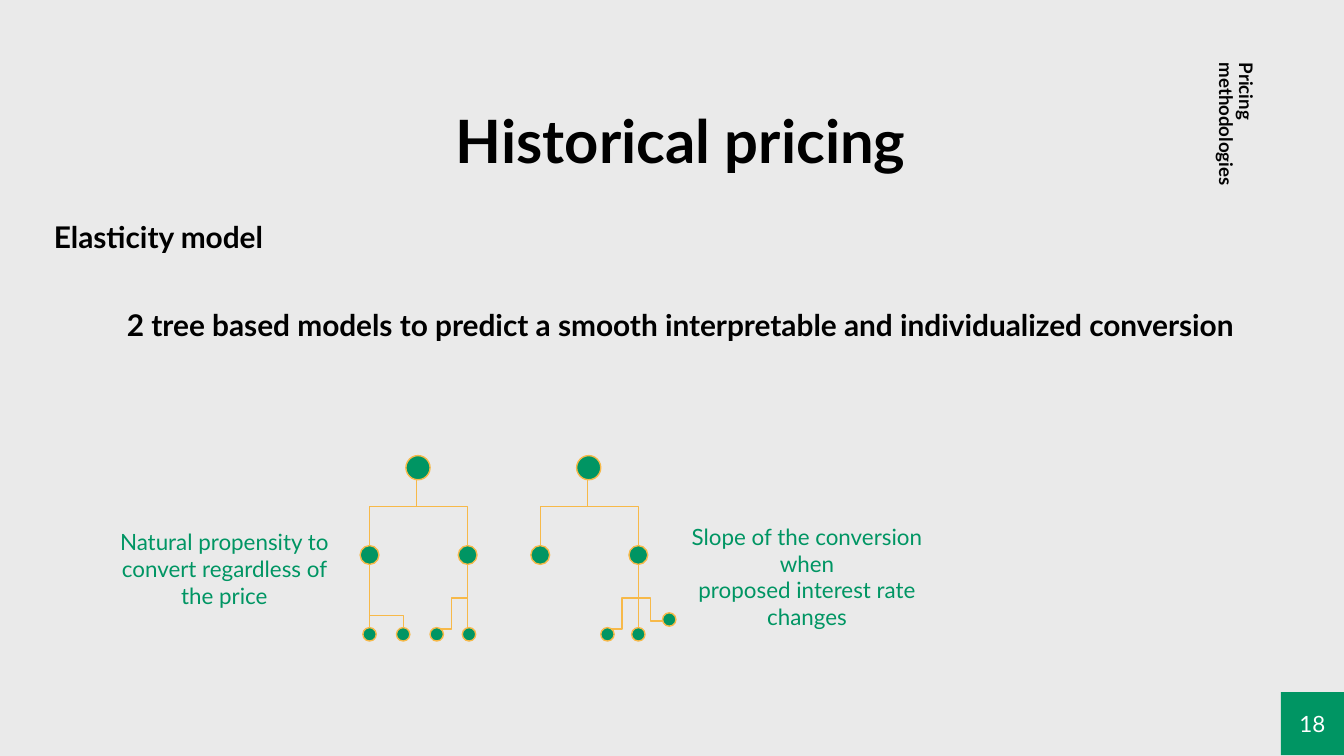
from lxml import etree
from pptx import Presentation
from pptx.dml.color import RGBColor
from pptx.enum.shapes import MSO_CONNECTOR, MSO_SHAPE
from pptx.enum.text import MSO_ANCHOR, PP_ALIGN
from pptx.oxml.ns import qn
from pptx.util import Pt

PX = 9144
ELBOW = MSO_CONNECTOR.ELBOW
OVAL, RECTANGLE = MSO_SHAPE.OVAL, MSO_SHAPE.RECTANGLE
LEFT, CENTER = PP_ALIGN.LEFT, PP_ALIGN.CENTER
TOP, MIDDLE = MSO_ANCHOR.TOP, MSO_ANCHOR.MIDDLE
COLORS = {
    "background": "EAEAEA",
    "green": "009563",
    "branch": "F7B949",
    "black": "000000",
    "side": "030303",
    "white": "FFFFFF",
}
ROOT, MIDDLE_NODE, LEAF = 18, 14, 10


def px(*values):
    return [round(value * PX) for value in values]


def color(name):
    return RGBColor.from_string(COLORS[name])


class SlideBuilder:
    font = "Lato"
    line_width = Pt(0.75)

    def __init__(self, slide):
        self.slide = slide
        self.shapes = slide.shapes
        fill = slide.background.fill
        fill.solid()
        fill.fore_color.rgb = color("background")

    def label(self, shape, lines, size, tone, bold=False, align=CENTER,
              anchor=TOP, insets=(0, 10, 0, 10), spacing=None):
        frame = shape.text_frame
        left, top, right, bottom = px(*insets)
        frame_format = {
            "word_wrap": True, "vertical_anchor": anchor,
            "margin_left": left, "margin_top": top,
            "margin_right": right, "margin_bottom": bottom,
        }
        for name, value in frame_format.items():
            setattr(frame, name, value)
        frame.text = "\n".join(lines)
        font_format = {"name": self.font, "size": Pt(size), "bold": bold}
        for paragraph in frame.paragraphs:
            paragraph.alignment = align
            paragraph.line_spacing = spacing
            for name, value in font_format.items():
                setattr(paragraph.font, name, value)
            paragraph.font.color.rgb = color(tone)

    def text(self, box, lines, size, tone, rotation=0, **style):
        shape = self.shapes.add_textbox(*px(*box))
        shape.rotation = rotation
        self.label(shape, lines, size, tone, **style)

    def shape(self, kind, box, outline=None):
        shape = self.shapes.add_shape(kind, *px(*box))
        shape.shadow.inherit = False
        shape.fill.solid()
        shape.fill.fore_color.rgb = color("green")
        if outline:
            shape.line.color.rgb = color(outline)
            shape.line.width = self.line_width
        else:
            shape.line.fill.background()
        return shape

    def node(self, x, y, size):
        box = (x - size / 2, y - size / 2, size, size)
        self.shape(OVAL, box, outline="branch")

    def branch(self, x1, y1, x2, y2, vertical=True):
        start, end, rotation = (x1, y1), (x2, y2), 0
        if vertical:
            center_x, center_y = (x1 + x2) / 2, (y1 + y2) / 2
            side = 1 if x2 > x1 else -1
            reach, rise = side * (y2 - y1) / 2, abs(x2 - x1) / 2
            start = (center_x + reach, center_y - rise)
            end = (center_x - reach, center_y + rise)
            rotation = 270 if side > 0 else 90
            if side < 0:
                start = (center_x + reach, center_y - rise)
                end = (center_x - reach, center_y + rise)
        line = self.shapes.add_connector(ELBOW, *px(*start, *end))
        line.line.color.rgb = color("branch")
        line.line.width = self.line_width
        properties = line._element.spPr
        etree.SubElement(properties, qn("a:effectLst"))
        if rotation:
            properties.find(qn("a:xfrm")).set("rot", str(rotation * 60000))

    def tree(self, x, branches, leaves):
        self.shapes = self.slide.shapes.add_group_shape().shapes
        trunk = [(-1, 346, 37, 408), (-1, 347, -36, 407)]
        for x1, y1, x2, y2, *vertical in branches + trunk:
            self.branch(x + x1, y1, x + x2, y2, *vertical)
        self.node(x, 348, ROOT)
        for offset in (-36, 37):
            self.node(x + offset, 413, MIDDLE_NODE)
        for offset in leaves:
            self.node(x + offset, 472, LEAF)
        self.shapes = self.slide.shapes


def main():
    presentation = Presentation()
    presentation.slide_width, presentation.slide_height = px(1000, 562.5)
    slide = presentation.slides.add_slide(presentation.slide_layouts[6])
    builder = SlideBuilder(slide)

    builder.text((90, 67, 843, 63), ["Historical pricing"], 32, "black",
                 bold=True, insets=(0, 10, 10, 10))
    page_number = builder.shape(RECTANGLE, (953, 515, 47, 47))
    builder.label(page_number, ["18"], 12, "white", anchor=MIDDLE,
                  insets=(10, 10, 10, 10))
    builder.text((842, 73, 138, 66), ["Pricing methodologies"], 10, "side",
                 rotation=90, bold=True, align=LEFT, spacing=0.9,
                 insets=(10, 10, 10, 10))
    builder.text((0, 153, 236, 64), ["Elasticity model"], 16, "black", bold=True)
    builder.text((47, 218, 919, 64),
                 ["2 tree based models to predict a smooth interpretable "
                  "and individualized conversion"], 16, "black", bold=True)

    right_branches = [(37, 445, 13, 468, False), (37, 417, 37, 468)]
    left_branches = [(-36, 445, -11, 471), (-36, 417, -36, 468)]
    builder.tree(311, left_branches + right_branches, (-36, -11, 14, 38))
    builder.text((81, 383, 172, 64),
                 ["Natural propensity to convert regardless of the price"],
                 12, "green")

    builder.tree(438, right_branches, (14, 37))
    builder.branch(474, 445, 494, 462, vertical=False)
    builder.node(498, 461, LEAF)
    builder.text((511, 379, 179, 64),
                 ["Slope of the conversion when", "proposed interest rate changes"],
                 12, "green")

    presentation.save("out.pptx")


if __name__ == "__main__":
    main()
